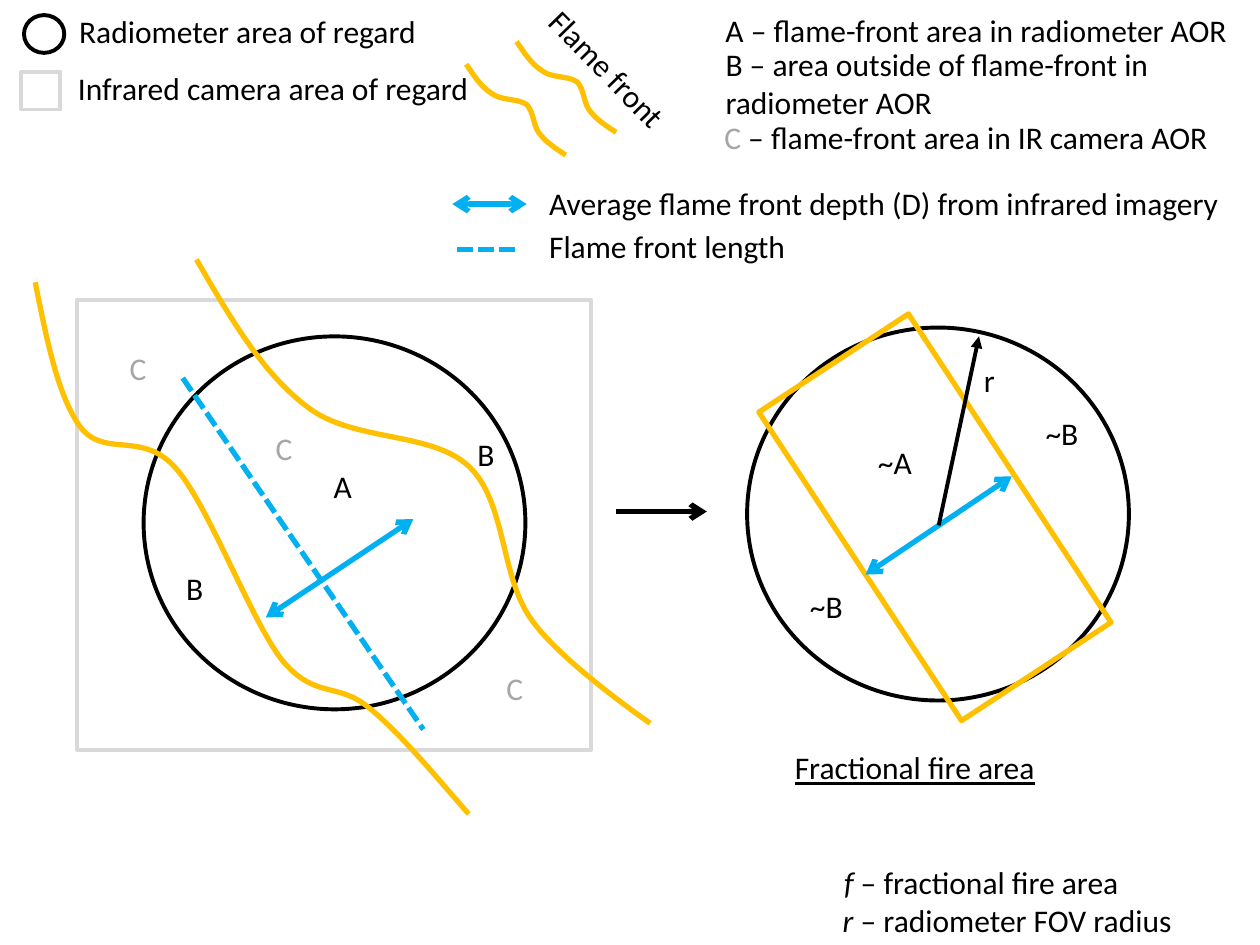
from lxml import etree
from pptx import Presentation
from pptx.dml.color import RGBColor
from pptx.enum.dml import MSO_LINE
from pptx.enum.shapes import MSO_CONNECTOR, MSO_SHAPE
from pptx.enum.text import MSO_AUTO_SIZE
from pptx.oxml.ns import qn
from pptx.util import Inches, Pt

RECT, OVAL = MSO_SHAPE.RECTANGLE, MSO_SHAPE.OVAL
LINE, DASH = MSO_CONNECTOR.STRAIGHT, MSO_LINE.SQUARE_DOT
FIT = MSO_AUTO_SIZE.SHAPE_TO_FIT_TEXT

THEME = {
    "font": "Calibri", "size": 18, "thin": 2.25, "thick": 3,
    "black": "000000", "pale": "D9D9D9", "gray": "A6A6A6",
    "fire": "FFC000", "blue": "00B0F0",
}
PLAIN = {"name": THEME["font"], "size": Pt(THEME["size"])}
STYLES = {
    "plain": ("black", {}),
    "gray": ("gray", {}),
    "italic": ("black", {"italic": True}),
    "under": ("black", {"underline": True}),
}

SHAPES = [
    (RECT, 0.61, 2.38, 4.08, 3.57, 0, "pale", "thin"),
    (OVAL, 1.14, 2.67, 3.03, 2.96, 0, "black", "thin"),
    (OVAL, 0.19, 0.12, 0.32, 0.3, 0, "black", "thin"),
    (RECT, 0.17, 0.57, 0.31, 0.3, 0, "pale", "thin"),
    (OVAL, 5.93, 2.6, 3.03, 2.96, 0, "black", "thin"),
    (RECT, 6.71, 2.64, 1.42, 2.93, 146.7, "fire", "thick"),
]

KEY = [
    (3.7, 0.51), (3.76, 0.6), (3.82, 0.69), (3.9, 0.74),
    (3.97, 0.8), (4.11, 0.78), (4.18, 0.83),
    (4.24, 0.89), (4.23, 1.01), (4.29, 1.07),
    (4.34, 1.14), (4.49, 1.23), (4.49, 1.23),
]
LOWER = [
    (0.28, 2.24), (0.37, 2.69), (0.46, 3.15), (0.64, 3.39),
    (0.83, 3.64), (1.13, 3.41), (1.4, 3.72),
    (1.66, 4.02), (1.99, 4.92), (2.24, 5.24),
    (2.5, 5.55), (2.67, 5.41), (2.92, 5.61),
    (3.17, 5.81), (3.44, 6.14), (3.72, 6.46),
]
UPPER = [
    (1.56, 2.06), (1.82, 2.51), (2.08, 2.96), (2.44, 3.23),
    (2.8, 3.51), (3.42, 3.42), (3.72, 3.7),
    (4.02, 3.98), (3.97, 4.58), (4.22, 4.92),
    (4.46, 5.26), (5.16, 5.74), (5.16, 5.74),
]
FRONTS = [LOWER, UPPER, KEY, [(x + 0.4, y - 0.18) for x, y in KEY]]

BOTH = {"headEnd": "arrow", "tailEnd": "arrow"}
LINES = [
    (2.11, 4.9, 3.28, 4.12, "blue", "thick", None, BOTH),
    (1.45, 3, 3.36, 5.79, "blue", "thick", DASH, {}),
    (3.59, 1.62, 4.18, 1.62, "blue", "thick", None, BOTH),
    (3.63, 1.98, 4.11, 1.98, "blue", "thick", DASH, {}),
    (6.87, 4.56, 8.03, 3.78, "blue", "thick", None, BOTH),
    (4.89, 4.06, 5.61, 4.06, "black", "thick", None, {"tailEnd": "arrow"}),
    (7.45, 4.17, 7.77, 2.67, "black", "thin", None, {"tailEnd": "triangle"}),
]

MARKS = [
    ("A", "plain", 0.35, [(2.55, 3.66)]),
    ("B", "plain", 0.34, [(1.38, 4.47), (3.69, 3.4)]),
    ("C", "gray", 0.34, [(0.93, 2.72), (3.92, 5.26), (2.09, 3.36)]),
    ("~A", "plain", 0.47, [(6.87, 3.47)]),
    ("~B", "plain", 0.46, [(6.33, 4.61), (8.2, 3.24)]),
    ("r", "plain", 0.29, [(7.71, 2.82)]),
]
LABELS = [
    (0.53, 0.05, 2.91, [("Radiometer area of regard", "plain")]),
    (0.52, 0.5, 3.34, [("Infrared camera area of regard", "plain")]),
    (5.66, 0.04, 4.23, [("A – flame-front area in radiometer AOR", "plain")]),
    (5.65, 0.89, 4.08, [("C", "gray"), (" – flame-front area in IR camera AOR", "plain")]),
    (4.26, 1.41, 5.58, [("Average flame front depth (D) from infrared imagery", "plain")]),
    (4.26, 1.75, 2.1, [("Flame front length", "plain")]),
    (6.21, 5.89, 2.13, [("Fractional fire area", "under")]),
    (6.6, 6.8, 2.41, [("f", "italic"), (" – fractional fire area", "plain")]),
    (6.59, 7.1, 2.9, [("r", "italic"), (" – radiometer FOV radius", "plain")]),
]
TILTED = (4.13, 0.35, 1.39, [("Flame front", "plain")])
WRAPPED = (5.66, 0.31, 4.29, [("B – area outside of flame-front in radiometer AOR", "plain")])


def put(item, values):
    for key, value in values.items():
        setattr(item, key, value)


def tint(name):
    return RGBColor.from_string(THEME[name])


def stroke(item, color, width):
    item.line.color.rgb = tint(color)
    item.line.width = Pt(THEME[width])


def outline(shape, color, width):
    shape.shadow.inherit = False
    shape.fill.background()
    stroke(shape, color, width)


def add_front(slide, points):
    spots = [(Inches(x), Inches(y)) for x, y in points]
    maker = slide.shapes.build_freeform(*spots[0])
    maker.add_line_segments(spots[1:], close=False)
    shape = maker.convert_to_shape()
    outline(shape, "fire", "thick")
    steps = list(shape._element.iter(qn("a:lnTo")))
    for i in range(0, len(steps), 3):
        curve = etree.Element(qn("a:cubicBezTo"))
        steps[i].addprevious(curve)
        for step in steps[i:i + 3]:
            curve.append(step[0])
            step.getparent().remove(step)


def add_line(slide, x1, y1, x2, y2, color, width, dash, ends):
    line = slide.shapes.add_connector(LINE, *map(Inches, (x1, y1, x2, y2)))
    stroke(line, color, width)
    if dash is not None:
        line.line.dash_style = dash
    for tag, kind in ends.items():
        etree.SubElement(line.line._get_or_add_ln(), qn("a:" + tag), type=kind)
    etree.SubElement(line._element.spPr, qn("a:effectLst"))


def add_text(slide, x, y, wide, runs, high=0.4, wrap=False, turn=0):
    box = slide.shapes.add_textbox(*map(Inches, (x, y, wide, high)))
    box.rotation = turn
    put(box.text_frame, {"word_wrap": wrap, "auto_size": FIT})
    for words, style in runs:
        run = box.text_frame.paragraphs[0].add_run()
        run.text = words
        color, extra = STYLES[style]
        put(run.font, {**PLAIN, **extra})
        run.font.color.rgb = tint(color)


def main():
    deck = Presentation()
    put(deck, {"slide_width": Inches(10), "slide_height": Inches(7.5)})
    slide = deck.slides.add_slide(deck.slide_layouts[6])
    for kind, x, y, wide, high, turn, color, width in SHAPES:
        shape = slide.shapes.add_shape(kind, *map(Inches, (x, y, wide, high)))
        shape.rotation = turn
        outline(shape, color, width)
    for points in FRONTS:
        add_front(slide, points)
    for line in LINES:
        add_line(slide, *line)
    for words, style, wide, spots in MARKS:
        for x, y in spots:
            add_text(slide, x, y, wide, [(words, style)])
    for label in LABELS:
        add_text(slide, *label)
    add_text(slide, *TILTED, turn=45.7)
    add_text(slide, *WRAPPED, high=0.71, wrap=True)
    deck.save("out.pptx")


if __name__ == "__main__":
    main()
